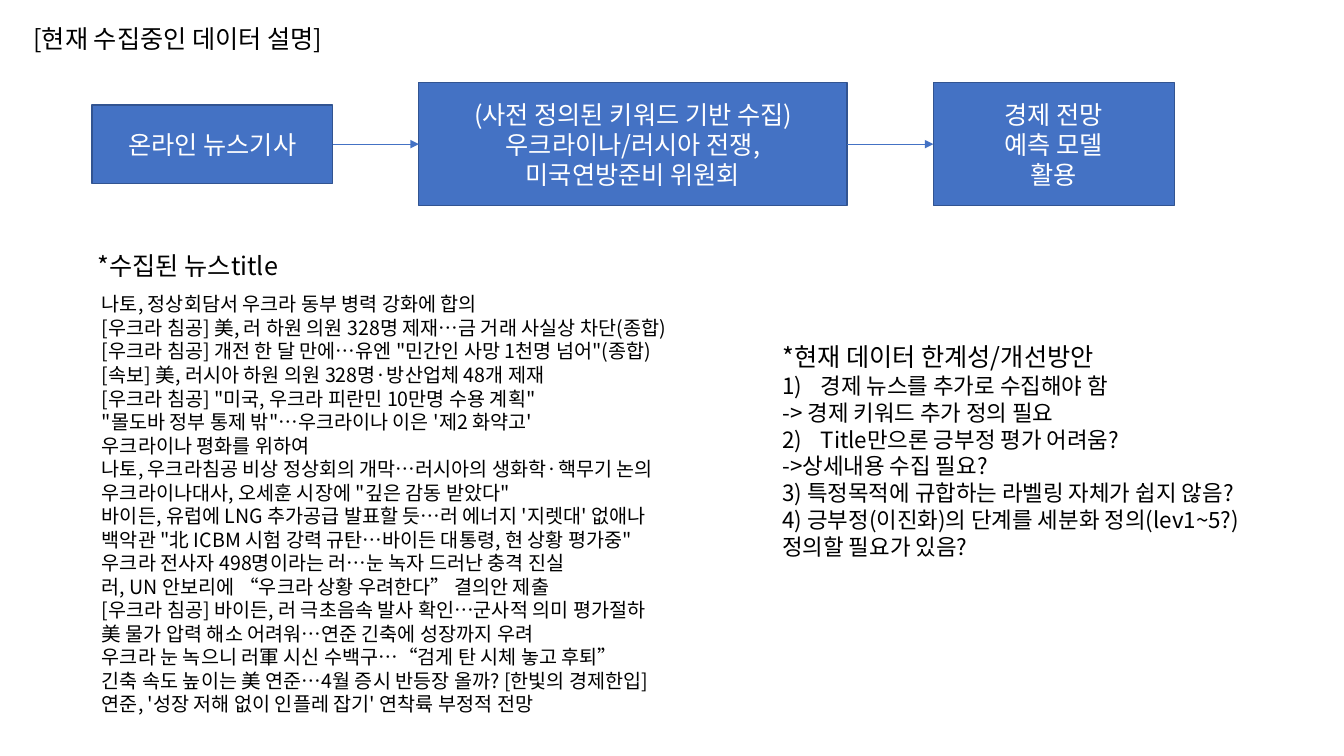
from dataclasses import dataclass

from lxml import etree
from pptx import Presentation
from pptx.dml.color import RGBColor
from pptx.enum.shapes import MSO_CONNECTOR, MSO_SHAPE
from pptx.enum.text import MSO_ANCHOR, MSO_AUTO_SIZE, PP_ALIGN
from pptx.oxml.ns import qn
from pptx.util import Inches, Pt

LEFT, CENTER = PP_ALIGN.LEFT, PP_ALIGN.CENTER
TOP, MIDDLE = MSO_ANCHOR.TOP, MSO_ANCHOR.MIDDLE
RECTANGLE, STRAIGHT = MSO_SHAPE.RECTANGLE, MSO_CONNECTOR.STRAIGHT
FIXED_SIZE = MSO_AUTO_SIZE.NONE
LEFT_SIDE, RIGHT_SIDE = 1, 3

FONT = "Noto Sans CJK KR"
LINE_PITCH = 1.2
COLORS = {"text": "000000", "box": "4472C4", "border": "325491", "box_text": "FFFFFF"}
WIDTH, HEIGHT = Inches(13.33), Inches(7.5)

# Lengths are percentages of the slide's width and height.
FLOW_LEFT, FLOW_GAP, FLOW_MIDDLE = 6.83, 6.4, 19.07


@dataclass
class Area:
    left: float
    top: float
    width: float
    height: float

    def lengths(self) -> tuple[int, int, int, int]:
        return (int(WIDTH * self.left / 100), int(HEIGHT * self.top / 100),
                int(WIDTH * self.width / 100), int(HEIGHT * self.height / 100))


@dataclass
class Line:
    text: str
    size: int = 18
    number: int = 0


@dataclass
class Step:
    width: float
    height: float
    lines: list[str]


STEPS = [
    Step(17.93, 10.4, ["온라인 뉴스기사"]),
    Step(31.88, 16.27, ["(사전 정의된 키워드 기반 수집)", "우크라이나/러시아 전쟁,", "미국연방준비 위원회"]),
    Step(17.93, 16.27, ["경제 전망", "예측 모델", "활용"]),
]

NEWS_TITLES = [
    "나토, 정상회담서 우크라 동부 병력 강화에 합의",
    "[우크라 침공] 美, 러 하원 의원 328명 제재…금 거래 사실상 차단(종합)",
    "[우크라 침공] 개전 한 달 만에…유엔 \"민간인 사망 1천명 넘어\"(종합)",
    "[속보] 美, 러시아 하원 의원 328명·방산업체 48개 제재",
    "[우크라 침공] \"미국, 우크라 피란민 10만명 수용 계획\"",
    "\"몰도바 정부 통제 밖\"…우크라이나 이은 '제2 화약고'",
    "우크라이나 평화를 위하여",
    "나토, 우크라침공 비상 정상회의 개막…러시아의 생화학·핵무기 논의",
    "우크라이나대사, 오세훈 시장에 \"깊은 감동 받았다\"",
    "바이든, 유럽에 LNG 추가공급 발표할 듯…러 에너지 '지렛대' 없애나",
    "백악관 \"北 ICBM 시험 강력 규탄…바이든 대통령, 현 상황 평가중\"",
    "우크라 전사자 498명이라는 러…눈 녹자 드러난 충격 진실",
    "러, UN 안보리에 “우크라 상황 우려한다” 결의안 제출",
    "[우크라 침공] 바이든, 러 극초음속 발사 확인…군사적 의미 평가절하",
    "美 물가 압력 해소 어려워…연준 긴축에 성장까지 우려",
    "우크라 눈 녹으니 러軍 시신 수백구…“검게 탄 시체 놓고 후퇴”",
    "긴축 속도 높이는 美 연준…4월 증시 반등장 올까? [한빛의 경제한입]",
    "연준, '성장 저해 없이 인플레 잡기' 연착륙 부정적 전망",
]

LIMITS = [
    Line("*현재 데이터 한계성/개선방안"),
    Line("경제 뉴스를 추가로 수집해야 함", 16, number=1),
    Line("-> 경제 키워드 추가 정의 필요", 16),
    Line("Title만으론 긍부정 평가 어려움?", 16, number=2),
    Line("->상세내용 수집 필요?", 16),
    Line("3) 특정목적에 규합하는 라벨링 자체가 쉽지 않음?", 16),
    Line("4) 긍부정(이진화)의 단계를 세분화 정의(lev1~5?) 정의할 필요가 있음?", 16),
]


def rgb(name: str) -> RGBColor:
    return RGBColor.from_string(COLORS[name])


def apply(target, values: dict) -> None:
    for name, value in values.items():
        setattr(target, name, value)


def set_bullet(para, number: int) -> None:
    """Number the paragraph, or clear its inherited bullet when number is 0."""
    properties = para._p.get_or_add_pPr()
    indent = Inches(0.38) if number else 0
    properties.set("marL", str(indent))
    properties.set("indent", str(-indent))
    if number:
        bullet = etree.SubElement(properties, qn("a:buAutoNum"))
        bullet.set("type", "arabicParenR")
        bullet.set("startAt", str(number))
    else:
        etree.SubElement(properties, qn("a:buNone"))


def write(shape, lines: list[Line], color: str = "text",
          align=LEFT, anchor=TOP) -> None:
    frame = shape.text_frame
    apply(frame, {"word_wrap": True, "auto_size": FIXED_SIZE, "vertical_anchor": anchor})
    for index, line in enumerate(lines):
        para = frame.paragraphs[0] if index == 0 else frame.add_paragraph()
        apply(para, {"alignment": align, "space_before": Pt(0), "space_after": Pt(0),
                     "line_spacing": Pt(round(line.size * LINE_PITCH, 1))})
        set_bullet(para, line.number)
        span = para.add_run()
        span.text = line.text
        apply(span.font, {"name": FONT, "size": Pt(line.size), "bold": False})
        span.font.color.rgb = rgb(color)
        etree.SubElement(span._r.get_or_add_rPr(), qn("a:ea")).set("typeface", FONT)


def fill_placeholder(shape, area: Area, lines: list[Line]) -> None:
    left, top, width, height = area.lengths()
    apply(shape, {"left": left, "top": top, "width": width, "height": height})
    write(shape, lines)


def add_step(page, step: Step, left: float):
    area = Area(left, FLOW_MIDDLE - step.height / 2, step.width, step.height)
    box = page.shapes.add_shape(RECTANGLE, *area.lengths())
    box.shadow.inherit = False
    box.fill.solid()
    box.fill.fore_color.rgb = rgb("box")
    box.line.color.rgb = rgb("border")
    box.line.width = Pt(1)
    write(box, [Line(text) for text in step.lines], "box_text", CENTER, MIDDLE)
    return box


def add_arrow(page, source, target) -> None:
    arrow = page.shapes.add_connector(STRAIGHT, 0, 0, 0, 0)
    arrow.begin_connect(source, RIGHT_SIDE)
    arrow.end_connect(target, LEFT_SIDE)
    arrow.line.color.rgb = rgb("box")
    arrow.line.width = Pt(0.5)
    etree.SubElement(arrow.line._get_or_add_ln(), qn("a:tailEnd")).set("type", "triangle")
    etree.SubElement(arrow._element.spPr, qn("a:effectLst"))


def main() -> None:
    deck = Presentation()
    apply(deck, {"slide_width": WIDTH, "slide_height": HEIGHT})
    page = deck.slides.add_slide(deck.slide_layouts.get_by_name("Two Content"))
    title, news, limits = page.placeholders

    fill_placeholder(title, Area(1.73, 2.4, 27.75, 5.33), [Line("[현재 수집중인 데이터 설명]")])
    fill_placeholder(news, Area(6.83, 38, 62.4, 57.87), [Line(text, 14) for text in NEWS_TITLES])
    fill_placeholder(limits, Area(57.46, 44.53, 39.16, 30.53), LIMITS)

    heading = page.shapes.add_textbox(*Area(6.53, 32.4, 19.58, 5.33).lengths())
    write(heading, [Line("*수집된 뉴스title")])

    left, previous = FLOW_LEFT, None
    for step in STEPS:
        box = add_step(page, step, left)
        if previous is not None:
            add_arrow(page, previous, box)
        left += step.width + FLOW_GAP
        previous = box

    deck.save("out.pptx")


if __name__ == "__main__":
    main()
